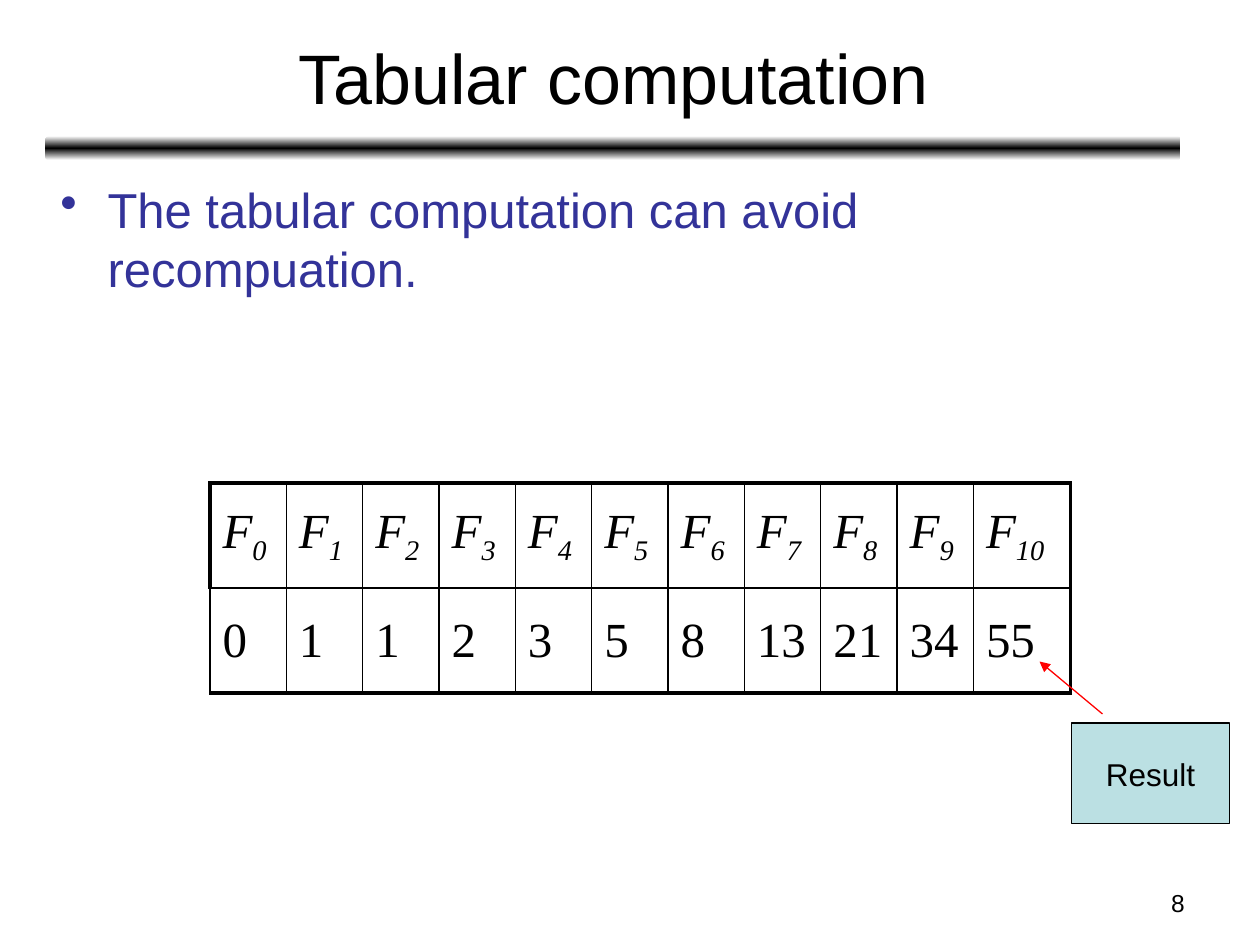
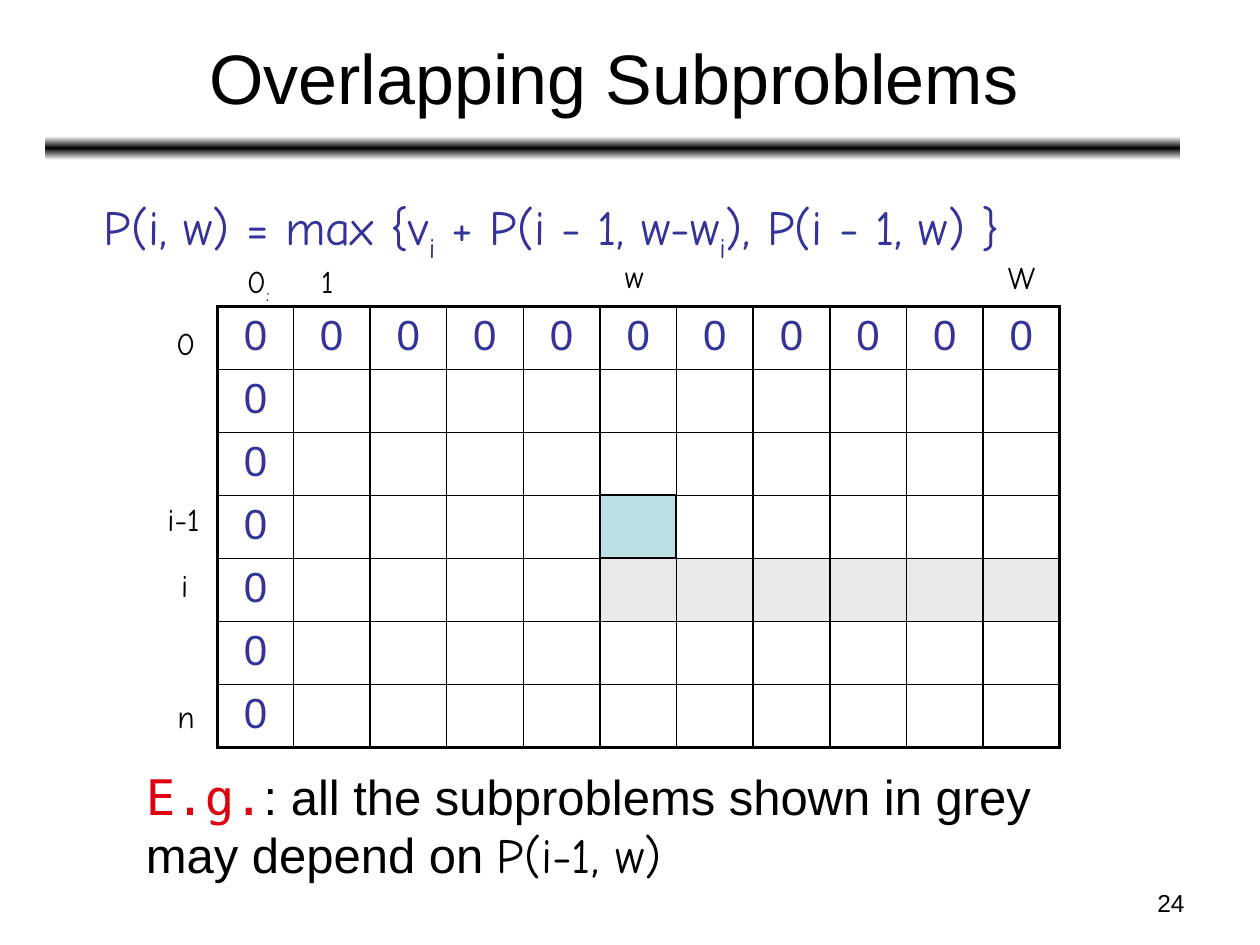
"""Build two dynamic programming slides: a Fibonacci table and a knapsack grid."""
from copy import deepcopy

from lxml import etree
from pptx import Presentation
from pptx.dml.color import RGBColor
from pptx.enum.shapes import MSO_CONNECTOR, MSO_SHAPE
from pptx.enum.text import MSO_ANCHOR, PP_ALIGN
from pptx.oxml.ns import qn
from pptx.util import Pt

LEFT, CENTER, RIGHT = PP_ALIGN.LEFT, PP_ALIGN.CENTER, PP_ALIGN.RIGHT
TOP, MIDDLE = MSO_ANCHOR.TOP, MSO_ANCHOR.MIDDLE
RECTANGLE, ROUNDED = MSO_SHAPE.RECTANGLE, MSO_SHAPE.ROUNDED_RECTANGLE
STRAIGHT = MSO_CONNECTOR.STRAIGHT

BLACK, WHITE, INDIGO, RED = "000000", "FFFFFF", "333399", "FF0000"
CYAN, GREY, CRIMSON = "BBE0E3", "EAEAEA", "DD0111"
SANS, SERIF, HAND, MONO = "Arial", "Times New Roman", "Comic Neue", "DejaVu Sans Mono"
SUBSCRIPT = {"baseline": -25}
THIN, THICK = 1, 2.25

FIBONACCI = [0, 1, 1, 2, 3, 5, 8, 13, 21, 34, 55]
FIBONACCI_WIDTHS = [43.64] * 10 + [55.6]
FIBONACCI_HEIGHTS = [60, 60]
AVOID_TEXT = "The tabular computation can avoid recompuation."

RECURRENCE = [
    ("P(i, w) = max {v", {}), ("i", SUBSCRIPT),
    (" + P(i - 1, w-w", {}), ("i", SUBSCRIPT),
    ("), P(i - 1, w) }", {}),
]
EXAMPLE = [
    ("E.g.", {"font": MONO, "color": CRIMSON}),
    (": all the subproblems shown in grey may depend on ", {}),
    ("P(i-1, w)", {"font": HAND}),
]
GRID_LABELS = [
    ([("0", {}), (":", SUBSCRIPT)], 134, 146, 29),
    ("1", 176.4, 146, 22.4),
    ("w", 350, 143.4, 26.6),
    ("W", 568.8, 144, 33),
    ("0", 93.6, 181.4, 25.2),
    ("i-1", 88.6, 282.2, 35.2),
    ("i", 96.5, 319.7, 19.4),
    ("n", 94.3, 394.6, 23.8),
]
GRID_WIDTHS = [43.2] + [43.8] * 10
GRID_HEIGHTS = [35] * 7
GREY_ROW, GREY_START = 4, 5


def rgb(value):
    """Turn a hex string into a colour."""
    return RGBColor.from_string(value)


def write(frame, text, size=18, font=SANS, color=BLACK, italic=False,
          align=LEFT, anchor=TOP, wrap=True, indent=0, bullet=None):
    """Write a string or a list of (text, overrides) spans as one paragraph."""
    frame.word_wrap = wrap
    frame.vertical_anchor = anchor
    para = frame.paragraphs[0]
    para.alignment = align
    if indent:
        properties = para._p.get_or_add_pPr()
        properties.set("marL", str(Pt(indent)))
        properties.set("indent", str(Pt(-indent if bullet else 0)))
        if bullet:
            etree.SubElement(properties, qn("a:buChar")).set("char", bullet)
    for words, overrides in [(text, {})] if isinstance(text, str) else text:
        span = para.add_run()
        span.text = words
        span.font.size = Pt(size)
        span.font.name = overrides.get("font", font)
        span.font.italic = italic
        span.font.color.rgb = rgb(overrides.get("color", color))
        if "baseline" in overrides:
            span.font._element.set("baseline", str(overrides["baseline"] * 1000))


def add_text(page, text, left, top, width, height, **style):
    """Add a text box."""
    box = page.shapes.add_textbox(Pt(left), Pt(top), Pt(width), Pt(height))
    write(box.text_frame, text, **style)


def add_box(page, left, top, width, height, color, kind=RECTANGLE):
    """Add a filled shape with a thin black outline."""
    box = page.shapes.add_shape(kind, Pt(left), Pt(top), Pt(width), Pt(height))
    box.shadow.inherit = False
    box.fill.solid()
    box.fill.fore_color.rgb = rgb(color)
    box.line.color.rgb = rgb(BLACK)
    box.line.width = Pt(0.75)
    return box


def add_band(page):
    """Add the gradient band below the title."""
    band = add_box(page, 26, 77.8, 648.7, 13.7, BLACK, ROUNDED)
    band.line.fill.background()
    band.fill.gradient()
    band.fill.gradient_angle = 90
    stops = band._element.spPr.find(".//" + qn("a:gsLst"))
    stops.append(deepcopy(stops[-1]))
    for stop, color, position in zip(band.fill.gradient_stops, (WHITE, BLACK, WHITE), (0, 0.5, 1)):
        stop.color.rgb = rgb(color)
        stop.position = position


def add_page(deck, title, number):
    """Add a slide with its title, band and page number."""
    page = deck.slides.add_slide(deck.slide_layouts[5])
    heading = page.shapes.title
    heading.left, heading.top, heading.width, heading.height = Pt(26.6), Pt(8), Pt(648), Pt(71)
    write(heading.text_frame, title, size=40, align=CENTER, anchor=MIDDLE)
    add_band(page)
    add_text(page, str(number), 516, 504, 168, 25, size=14, align=RIGHT)
    return page


def set_borders(cell, widths):
    """Draw the left, right, top and bottom borders of a cell."""
    properties = cell._tc.get_or_add_tcPr()
    for side, width in zip("LRTB", widths):
        line = etree.SubElement(properties, qn("a:ln" + side), w=str(Pt(width)))
        fill = etree.SubElement(line, qn("a:solidFill"))
        etree.SubElement(fill, qn("a:srgbClr"), val=BLACK)


def add_grid(page, left, top, widths, heights, thin_left_rows=()):
    """Add an empty table with a thick frame and thin inner lines."""
    frame = page.shapes.add_table(len(heights), len(widths), Pt(left), Pt(top),
                                  Pt(sum(widths)), Pt(sum(heights)))
    table = frame.table
    table.first_row = table.horz_banding = False
    for column, width in zip(table.columns, widths):
        column.width = Pt(width)
    last_row, last_column = len(heights) - 1, len(widths) - 1
    for y, height in enumerate(heights):
        table.rows[y].height = Pt(height)
        for x in range(len(widths)):
            outer = (x == 0 and y not in thin_left_rows, x == last_column, y == 0, y == last_row)
            cell = table.cell(y, x)
            set_borders(cell, [THICK if edge else THIN for edge in outer])
            cell.fill.background()
    return table


def write_cell(cell, text, **style):
    """Write into a table cell and anchor it."""
    cell.vertical_anchor = style.pop("anchor", TOP)
    write(cell.text_frame, text, **style)


def add_arrow(page, start, end, color):
    """Add a straight arrow between two points."""
    arrow = page.shapes.add_connector(STRAIGHT, *map(Pt, start + end))
    arrow.line.color.rgb = rgb(color)
    arrow.line.width = Pt(0.75)
    etree.SubElement(arrow.line._get_or_add_ln(), qn("a:tailEnd"), type="triangle")
    etree.SubElement(arrow._element.spPr, qn("a:effectLst"))


def build_tabular(deck):
    """Build the Fibonacci table slide."""
    page = add_page(deck, "Tabular computation", 8)
    add_text(page, AVOID_TEXT, 27.4, 99, 648, 396, size=28, color=INDIGO, indent=27, bullet="•")
    table = add_grid(page, 120, 276, FIBONACCI_WIDTHS, FIBONACCI_HEIGHTS, thin_left_rows=(1,))
    style = {"size": 28, "font": SERIF, "anchor": MIDDLE}
    for index, value in enumerate(FIBONACCI):
        name = [("F", {}), (str(index), SUBSCRIPT)]
        write_cell(table.cell(0, index), name, italic=True, **style)
        write_cell(table.cell(1, index), str(value), **style)
    add_arrow(page, (630, 408), (594, 378), RED)
    result = add_box(page, 612.4, 413.2, 90, 57.6, CYAN)
    write(result.text_frame, "Result", align=CENTER, anchor=MIDDLE, wrap=False)


def build_overlapping(deck):
    """Build the knapsack grid slide."""
    page = add_page(deck, "Overlapping Subproblems", 24)
    add_box(page, 342.6, 282.6, 43.4, 36, CYAN)
    table = add_grid(page, 124.4, 175, GRID_WIDTHS, GRID_HEIGHTS)
    for y in range(len(GRID_HEIGHTS)):
        for x in range(len(GRID_WIDTHS)):
            cell = table.cell(y, x)
            if x == 0 or y == 0:
                write_cell(cell, "0", size=24, color=INDIGO, align=CENTER)
            if y == GREY_ROW and x >= GREY_START:
                cell.fill.solid()
                cell.fill.fore_color.rgb = rgb(GREY)
    for text, left, top, width in GRID_LABELS:
        add_text(page, text, left, top, width, 29, font=HAND, wrap=False)
    add_text(page, RECURRENCE, 25.2, 109, 648, 57, size=28, font=HAND, color=INDIGO, indent=27)
    add_text(page, EXAMPLE, 76.3, 434.2, 573.8, 74.2, size=28)


def main():
    """Build and save the deck."""
    deck = Presentation()
    deck.slide_width, deck.slide_height = Pt(720), Pt(540)
    build_tabular(deck)
    build_overlapping(deck)
    deck.save("out.pptx")


if __name__ == "__main__":
    main()
